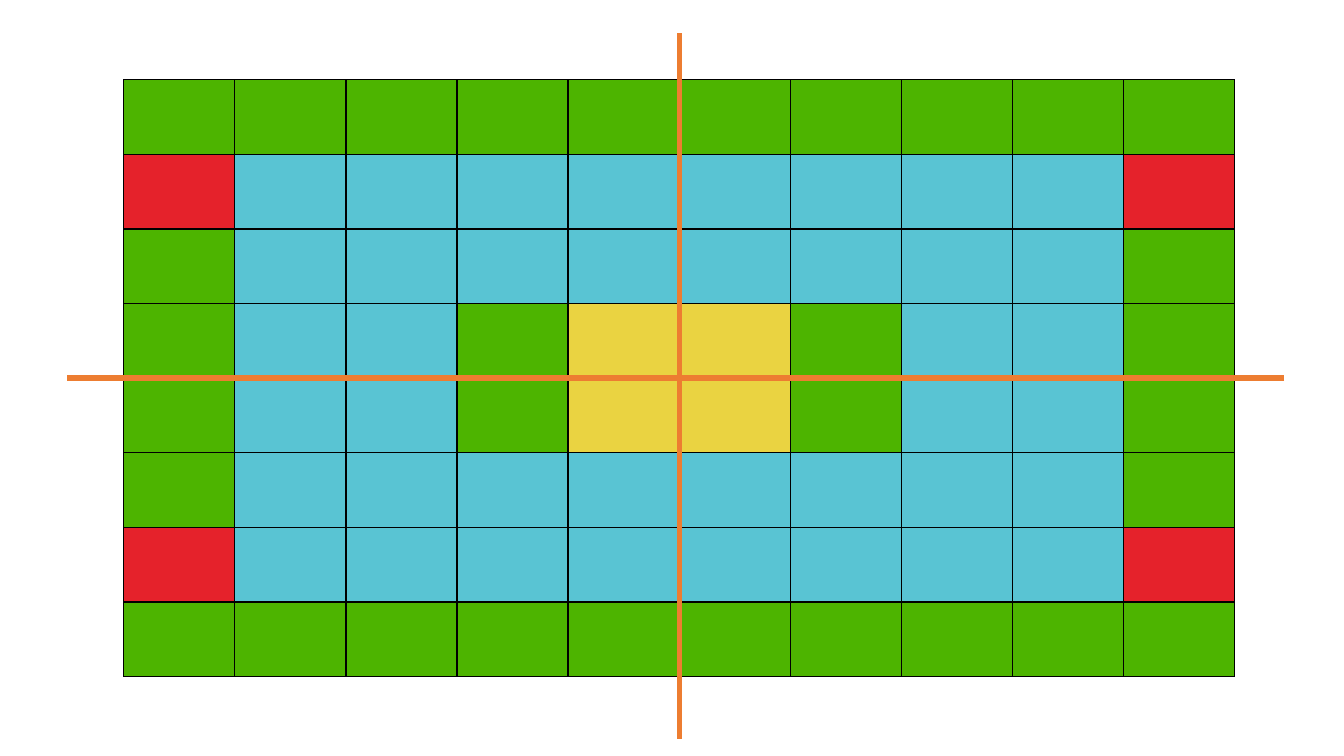
from lxml.etree import SubElement
from pptx import Presentation
from pptx.dml.color import RGBColor
from pptx.enum.shapes import MSO_CONNECTOR as Link
from pptx.oxml.ns import qn
from pptx.util import Cm, Pt

GREEN = RGBColor(0x4D, 0xB4, 0x00)
RED = RGBColor(0xE5, 0x22, 0x2B)
BLUE = RGBColor(0x59, 0xC4, 0xD3)
YELLOW = RGBColor(0xEA, 0xD3, 0x41)
ORANGE = RGBColor(0xED, 0x7D, 0x31)
BLACK = RGBColor(0, 0, 0)

HUES = {"G": GREEN, "R": RED, "B": BLUE, "Y": YELLOW}
HALF = ["GGGGG", "RBBBB", "GBBBB", "GBBGY"]
TOP = [row + row[::-1] for row in HALF]
GRID = TOP + TOP[::-1]
WIDE, HIGH = Cm(2.8), Cm(1.88)


def border(cell):
    props = cell._tc.get_or_add_tcPr()
    for side in ("lnL", "lnR", "lnT", "lnB"):
        edge = SubElement(props, qn("a:" + side), w=str(Pt(1)))
        fill = SubElement(edge, qn("a:solidFill"))
        SubElement(fill, qn("a:srgbClr"), val=str(BLACK))


deck = Presentation()
deck.slide_width, deck.slide_height = Cm(33.87), Cm(19.05)
slide = deck.slides.add_slide(deck.slide_layouts[6])

rows, cols = len(GRID), len(GRID[0])
table = slide.shapes.add_table(
    rows, cols, Cm(3.12), Cm(2.01), WIDE * cols, HIGH * rows
).table
for col in table.columns:
    col.width = WIDE
for row, codes in zip(table.rows, GRID):
    row.height = HIGH
    for cell, code in zip(row.cells, codes):
        border(cell)
        cell.fill.solid()
        cell.fill.fore_color.rgb = HUES[code]

AXES = [(17.12, 0.84, 17.12, 18.62), (32.36, 9.53, 1.68, 9.53)]
for ends in AXES:
    axis = slide.shapes.add_connector(Link.STRAIGHT, *map(Cm, ends))
    axis.line.color.rgb = ORANGE
    axis.line.width = Pt(4)
    SubElement(axis._element.spPr, qn("a:effectLst"))

deck.save("out.pptx")
